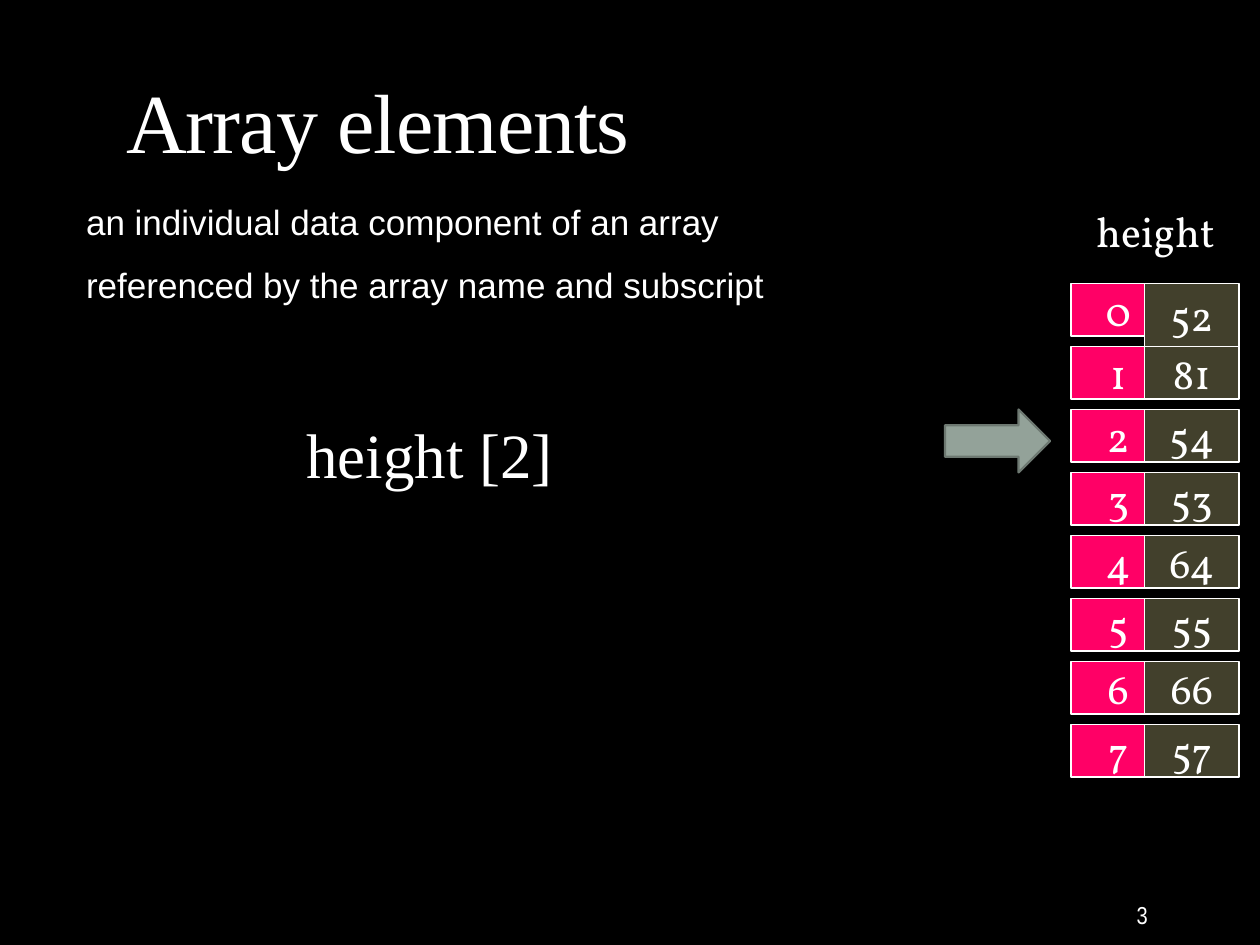
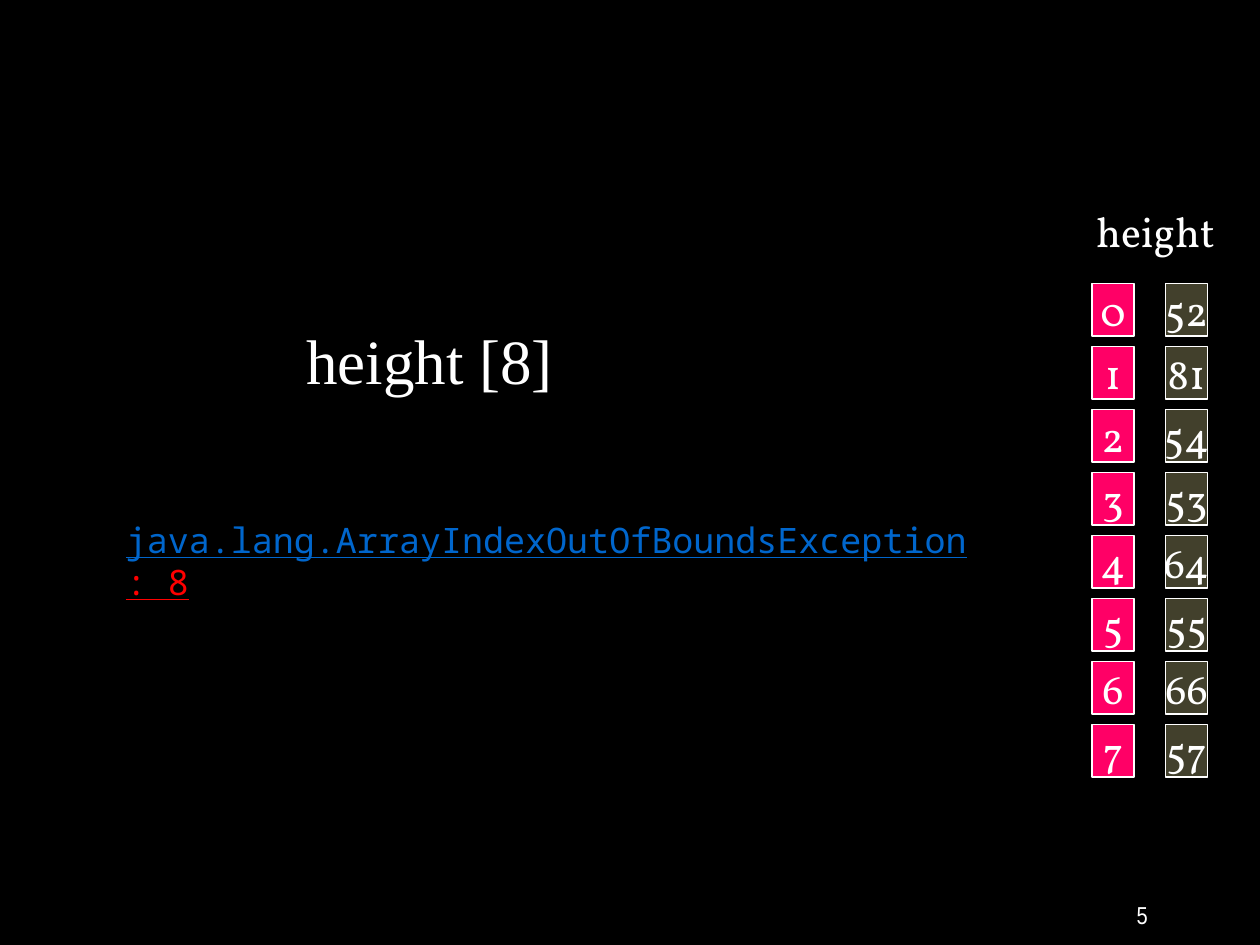
from pptx import Presentation
from pptx.dml.color import RGBColor
from pptx.enum.shapes import MSO_SHAPE
from pptx.enum.text import MSO_ANCHOR, MSO_AUTO_SIZE, PP_ALIGN
from pptx.util import Inches, Pt

RECT, ARROW = MSO_SHAPE.RECTANGLE, MSO_SHAPE.RIGHT_ARROW
TOP, MIDDLE, BOTTOM = MSO_ANCHOR.TOP, MSO_ANCHOR.MIDDLE, MSO_ANCHOR.BOTTOM
LEFT, CENTER, RIGHT = PP_ALIGN.LEFT, PP_ALIGN.CENTER, PP_ALIGN.RIGHT
GROW, FIXED = MSO_AUTO_SIZE.SHAPE_TO_FIT_TEXT, MSO_AUTO_SIZE.NONE

COLS, ROWS = 120, 90
UNIT = Inches(10) / COLS
COLORS = {
    "back": "000000", "text": "FFFFFF", "index": "FF0066", "value": "42402C",
    "arrow": "93A299", "edge": "6D7871", "link": "0066CC", "error": "FF0000",
}
SERIF, SANS, NARROW = "Times New Roman", "Arial", "Arial Narrow"
BOOK, MONO = "Vollkorn", "Noto Sans Mono"
VALUES = [52, 81, 54, 53, 64, 55, 66, 57]
FIRST, STEP, TALL = 27, 6, 5


def color(name):
    """Return a palette colour."""
    return RGBColor.from_string(COLORS[name])


def grid(*cells):
    """Turn grid units into slide lengths."""
    return [round(cell * UNIT) for cell in cells]


def write(shape, lines, size=24, font=BOOK, align=LEFT, anchor=TOP, wrap=True,
          fit=FIXED, line=None, before=None, after=None, inset=None,
          under=None, track=None):
    """Fill a shape with lines, each a string or a list of (text, colour)."""
    frame = shape.text_frame
    frame.word_wrap, frame.auto_size = wrap, fit
    frame.vertical_anchor = anchor
    if inset is not None:
        frame.margin_left = frame.margin_right = inset
    for num, parts in enumerate(lines):
        para = frame.add_paragraph() if num else frame.paragraphs[0]
        para.alignment, para.line_spacing = align, line
        para.space_before, para.space_after = before, after
        if isinstance(parts, str):
            parts = [(parts, "text")]
        for text, tint in parts:
            run = para.add_run()
            run.text = text
            run.font.size, run.font.name = Pt(size), font
            run.font.underline = under
            run.font.color.rgb = color(tint)
            if track is not None:
                run._r.get_or_add_rPr().set("spc", str(track))


def label(slide, place, *lines, **style):
    """Add a text box."""
    write(slide.shapes.add_textbox(*grid(*place)), lines, **style)


def block(slide, kind, place, fill, edge, width):
    """Add a filled and outlined preset shape."""
    shape = slide.shapes.add_shape(kind, *grid(*place))
    shape.shadow.inherit = False
    shape.fill.solid()
    shape.fill.fore_color.rgb = color(fill)
    shape.line.color.rgb = color(edge)
    shape.line.width = Pt(width)
    return shape


def stack(slide, items, left, wide, fill, first=TALL):
    """Add a column of array cells, the first with its own height."""
    for row, item in enumerate(items):
        tall = TALL if row else first
        place = (left, FIRST + row * STEP, wide, tall)
        cell = block(slide, RECT, place, fill, "text", 1)
        write(cell, [str(item)], align=CENTER, anchor=MIDDLE, wrap=False)


def array(slide, left, wide, first=TALL):
    """Add the named array with its indexes and values."""
    stack(slide, range(len(VALUES)), left, wide, "index")
    label(slide, (103.2, 19, 13.8, 6.1), "height", wrap=False, fit=GROW)
    stack(slide, VALUES, left + 7, wide, "value", first)


def access(slide, top, text):
    """Add the large array expression."""
    label(slide, (28, top, 26.2, 8.5), text, size=36, font=SERIF,
          wrap=False, fit=GROW)


def footer(slide, number):
    """Add the page number."""
    label(slide, (97.5, 84.75, 13, 4.8), number, size=14, font=NARROW,
          align=RIGHT, anchor=MIDDLE)


def heading(slide, text):
    """Place and format the title."""
    title = slide.shapes.title
    title.left, title.top, title.width, title.height = grid(10.8, 3.7, 99, 13.2)
    write(title, [text], size=48, font=SERIF, anchor=BOTTOM, line=0.85, track=-50)


def elements(deck):
    """Build the slide on array elements."""
    slide = deck.slides.add_slide(deck.slide_layouts.get_by_name("Title Only"))
    heading(slide, "Array elements")
    label(slide, (8.2, 19, 82.8, 46),
          "an individual data component of an array",
          "referenced by the array name and subscript",
          size=20, font=SANS, line=0.9, before=Pt(12), after=Pt(2), inset=0)
    footer(slide, "3")
    array(slide, 102, 9, first=STEP)
    block(slide, ARROW, (90, 39, 10, 6), "arrow", "edge", 1.25)
    access(slide, 39, "height [2]")


def bounds(deck):
    """Build the slide on an index out of bounds."""
    slide = deck.slides.add_slide(deck.slide_layouts.get_by_name("Blank"))
    footer(slide, "5")
    array(slide, 104, 4)
    access(slide, 30, "height [8]")
    error = [("java.lang.ArrayIndexOutOfBoundsException", "link"), (": 8", "error")]
    label(slide, (10.8, 48.75, 83.2, 5.25), error, size=20, font=MONO,
          fit=GROW, under=True)


def main():
    """Build and save the deck."""
    deck = Presentation()
    deck.slide_width, deck.slide_height = grid(COLS, ROWS)
    back = deck.slide_master.background.fill
    back.solid()
    back.fore_color.rgb = color("back")
    elements(deck)
    bounds(deck)
    deck.save("out.pptx")


main()
